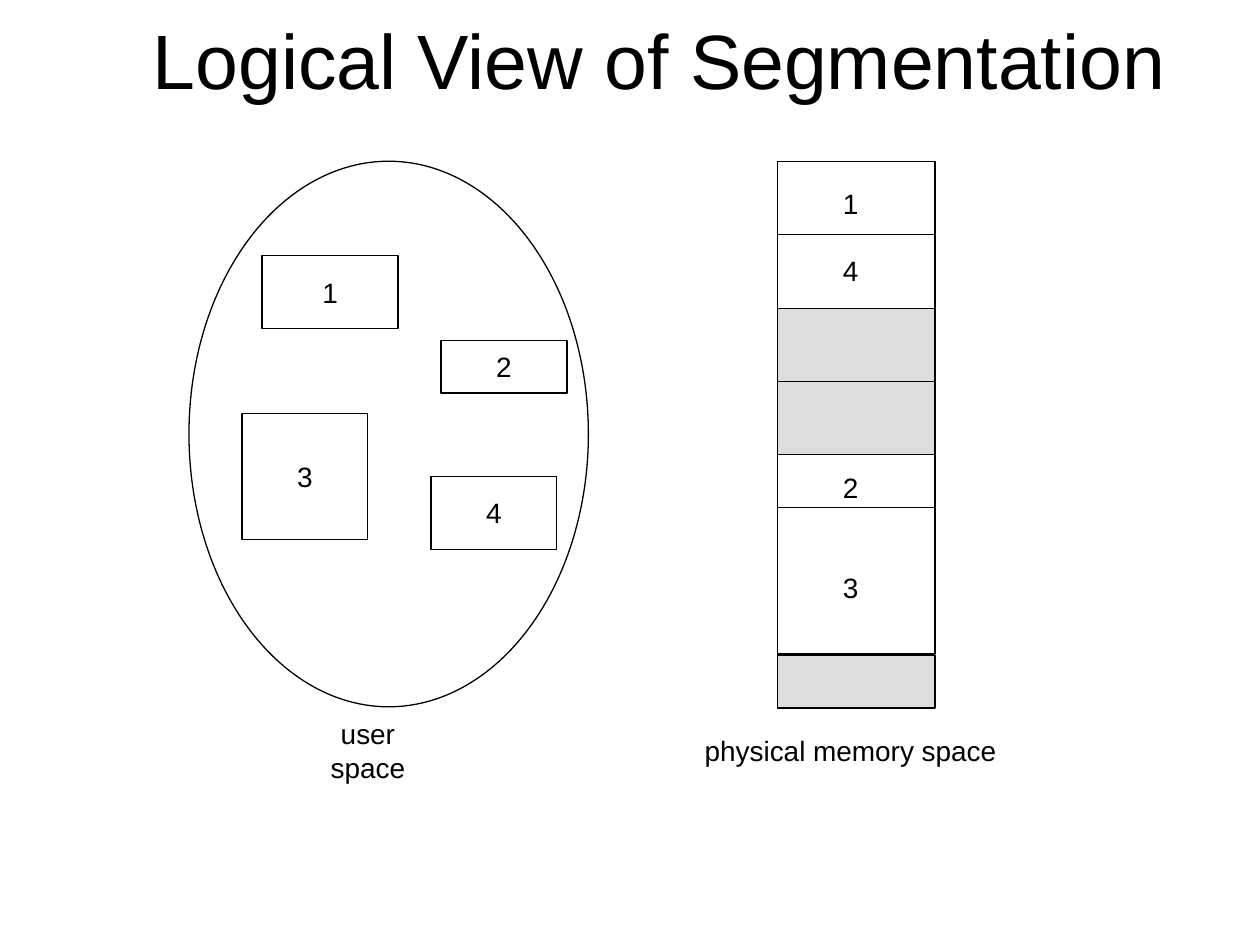
"""Build the slide comparing user space with segmented physical memory."""
import pptx
import pptx.dml.color
import pptx.enum.shapes
import pptx.enum.text
import pptx.oxml
import pptx.oxml.ns
import pptx.util

Inches, Pt = pptx.util.Inches, pptx.util.Pt
SHAPE = pptx.enum.shapes.MSO_SHAPE
BLACK, WHITE, GRAY = "000000", "FFFFFF", "DDDDDD"

TITLE = "Logical View of Segmentation"
USER_SPACE = (1.5, 1.28, 3.17, 4.33)
SEGMENTS = [
    ("1", 2.08, 2.03, 1.08, 0.58),
    ("3", 1.92, 3.28, 1, 1),
    ("2", 3.5, 2.7, 1, 0.42),
    ("4", 3.42, 3.78, 1, 0.58),
]
MEMORY_LEFT, MEMORY_WIDTH = 6.17, 1.25
MEMORY_BLOCKS = [
    (1.28, 1.17, WHITE, 1.86),
    (2.45, 1.17, GRAY, 3.03),
    (3.61, 1.58, WHITE, 4.03),
    (5.2, 0.42, GRAY, None),
]
MEMORY_LABELS = [("1", 1.43), ("4", 1.96), ("2", 3.68), ("3", 4.48)]
CAPTIONS = [("user space", 2.29, 1.26), ("physical memory space", 5.49, 2.52)]
CAPTION_TOP, LABEL_LEFT, LABEL_WIDTH, LABEL_HEIGHT = 5.77, 6.59, 0.32, 0.37


def color(value):
    return pptx.dml.color.RGBColor.from_string(value)


def set_text(sp, text, size=16, wrap=False):
    tf = sp.text_frame
    tf.text = text
    tf.word_wrap = wrap
    tf.vertical_anchor = pptx.enum.text.MSO_ANCHOR.MIDDLE
    p = tf.paragraphs[0]
    p.alignment = pptx.enum.text.PP_ALIGN.CENTER
    p.font.name, p.font.size = "Arial", Pt(size)
    p.font.color.rgb = color(BLACK)


def set_line(sp):
    sp.line.color.rgb = color(BLACK)
    sp.line.width = Pt(0.75)


def add_shape(shapes, kind, box, fill=WHITE):
    sp = shapes.add_shape(kind, *map(Inches, box))
    sp.shadow.inherit = False
    sp.fill.solid()
    sp.fill.fore_color.rgb = color(fill)
    set_line(sp)
    return sp


def add_divider(shapes, y):
    right = MEMORY_LEFT + MEMORY_WIDTH
    line = shapes.add_connector(
        pptx.enum.shapes.MSO_CONNECTOR.STRAIGHT,
        *map(Inches, (MEMORY_LEFT, y, right, y)))
    set_line(line)
    effects = pptx.oxml.parse_xml(f"<a:effectLst {pptx.oxml.ns.nsdecls('a')}/>")
    line._element.spPr.append(effects)


def add_label(shapes, text, left, top, width):
    sp = shapes.add_textbox(*map(Inches, (left, top, width, LABEL_HEIGHT)))
    set_text(sp, text)


def main():
    prs = pptx.Presentation()
    prs.slide_width, prs.slide_height = Inches(10), Inches(7.5)
    s = prs.slides.add_slide(prs.slide_layouts[5])

    title = s.shapes.title
    title.left, title.top, title.width, title.height = map(
        Inches, (0.97, 0.15, 8.53, 0.63))
    set_text(title, TITLE, 44, wrap=True)

    add_shape(s.shapes, SHAPE.OVAL, USER_SPACE)
    for text, *box in SEGMENTS:
        set_text(add_shape(s.shapes, SHAPE.RECTANGLE, box), text)

    memory = s.shapes.add_group_shape().shapes
    for top, height, fill, divider in MEMORY_BLOCKS:
        box = (MEMORY_LEFT, top, MEMORY_WIDTH, height)
        add_shape(memory, SHAPE.RECTANGLE, box, fill)
        if divider:
            add_divider(memory, divider)
    for text, top in MEMORY_LABELS:
        add_label(memory, text, LABEL_LEFT, top, LABEL_WIDTH)

    for text, left, width in CAPTIONS:
        add_label(s.shapes, text, left, CAPTION_TOP, width)

    prs.save("out.pptx")


if __name__ == "__main__":
    main()
